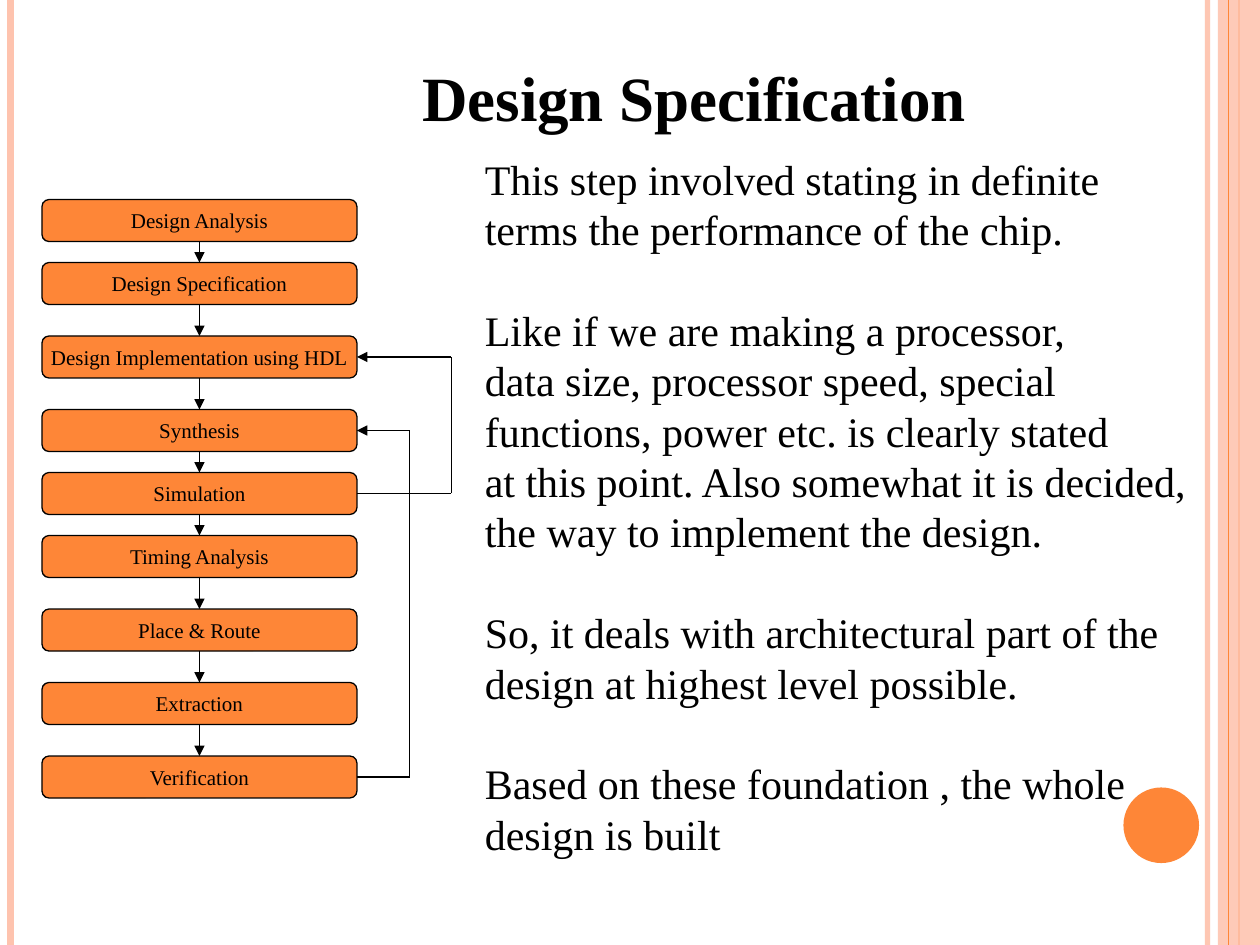
from itertools import pairwise

from pptx import Presentation
from pptx import util as u
from pptx.dml.color import RGBColor
from pptx.enum import shapes, text
from pptx.oxml.ns import qn
from lxml import etree

Pt = u.Pt
FONT = "Times New Roman"
ORANGE, PEACH, BLACK = "FE8637", "FEC3AE", "000000"


def paint(fmt, color, opacity=100):
    """Give a fill a solid colour, optionally see-through."""
    fmt.solid()
    fmt.fore_color.rgb = RGBColor.from_string(color)
    if opacity < 100:
        clr = next(fmt._xPr.iter(qn("a:srgbClr")))
        etree.SubElement(clr, qn("a:alpha"), val=str(opacity * 1000))


def line(start, end, color=BLACK, width=0.75, opacity=100, arrow=False):
    """Draw a straight line between two points, with an arrowhead if asked."""
    c = s.shapes.add_connector(shapes.MSO_CONNECTOR.STRAIGHT,
                               *map(Pt, (*start, *end)))
    c.line.width = Pt(width)
    paint(c.line.fill, color, opacity)
    if arrow:
        ln = c._element.spPr.find(qn("a:ln"))
        etree.SubElement(ln, qn("a:tailEnd"), type="triangle")
    etree.SubElement(c._element.spPr, qn("a:effectLst"))


prs = Presentation()
prs.slide_width, prs.slide_height = Pt(720), Pt(540)
s = prs.slides.add_slide(prs.slide_layouts[5])

# Side bands and disc
for x, color, width, opacity in [(690, PEACH, 3, 93), (6, PEACH, 4.5, 100),
                                 (708, ORANGE, 1.5, 100)]:
    line((x, 0), (x, 540), color, width, opacity)
for kind, box, color, opacity in [
        (shapes.MSO_SHAPE.RECTANGLE, (696, 0, 24, 540), PEACH, 87),
        (shapes.MSO_SHAPE.OVAL, (642, 450, 43.2, 43.2), ORANGE, 100)]:
    sp = s.shapes.add_shape(kind, *map(Pt, box))
    sp.shadow.inherit = False
    paint(sp.fill, color, opacity)
    sp.line.fill.background()
line((702, 0), (702, 540), ORANGE)

# Design flow, with boxes wide enough for the longest step name
CENTER, WIDTH, HEIGHT = 114, 180, 24
LEFT, RIGHT = CENTER - WIDTH / 2, CENTER + WIDTH / 2
steps = {
    "Design Analysis": 114,
    "Design Specification": 150,
    "Design Implementation using HDL": 192,
    "Synthesis": 234,
    "Simulation": 270,
    "Timing Analysis": 306,
    "Place & Route": 348,
    "Extraction": 390,
    "Verification": 432,
}
for name, top in steps.items():
    sp = s.shapes.add_shape(shapes.MSO_SHAPE.FLOWCHART_ALTERNATE_PROCESS,
                            Pt(LEFT), Pt(top), Pt(WIDTH), Pt(HEIGHT))
    sp.shadow.inherit = False
    paint(sp.fill, ORANGE)
    paint(sp.line.fill, BLACK)
    sp.line.width = Pt(0.75)
    tf = sp.text_frame
    tf.word_wrap = False
    tf.vertical_anchor = text.MSO_ANCHOR.MIDDLE
    p = tf.paragraphs[0]
    p.text = name
    p.alignment = text.PP_ALIGN.CENTER
    p.font.name, p.font.size = FONT, Pt(12)
    paint(p.font.fill, BLACK)

for above, below in pairwise(steps.values()):
    line((CENTER, above + HEIGHT), (CENTER, below), arrow=True)

# Feedback loops
for source, target, rail in [("Verification", "Synthesis", 234),
                             ("Simulation", "Design Implementation using HDL", 258)]:
    y1, y2 = (steps[name] + HEIGHT / 2 for name in (source, target))
    line((RIGHT, y1), (rail, y1))
    line((rail, y1), (rail, y2))
    line((rail, y2), (RIGHT, y2), arrow=True)

# Title and explanation
title = s.shapes.title
title.left, title.top, title.width, title.height = map(Pt, (234, 30, 325.5, 50.4))
body = s.shapes.add_textbox(*map(Pt, (270, 84, 416, 410)))
paragraphs = [
    "This step involved stating in definite\vterms the performance of the chip.",
    "Like if we are making a processor,\vdata size, processor speed, special\v"
    "functions, power etc. is clearly stated\v"
    "at this point. Also somewhat it is decided,\vthe way to implement the design.",
    "So, it deals with architectural part of the\vdesign at highest level possible.",
    "Based on these foundation , the whole\vdesign is built",
]
for sp, size, bold, content in [(title, 36, True, ["Design Specification"]),
                                (body, 24, False, paragraphs)]:
    tf = sp.text_frame
    tf.word_wrap = False
    tf.auto_size = text.MSO_AUTO_SIZE.NONE
    tf.vertical_anchor = text.MSO_ANCHOR.TOP
    for i, words in enumerate(content):
        p = tf.add_paragraph() if i else tf.paragraphs[0]
        p.text = words
        p.alignment = text.PP_ALIGN.LEFT
        p.line_spacing = Pt(size * 1.2)
        p.space_before = Pt(size * 1.2 if i else 0)
        p.font.name, p.font.size, p.font.bold = FONT, Pt(size), bold
        paint(p.font.fill, BLACK)

prs.save("out.pptx")
